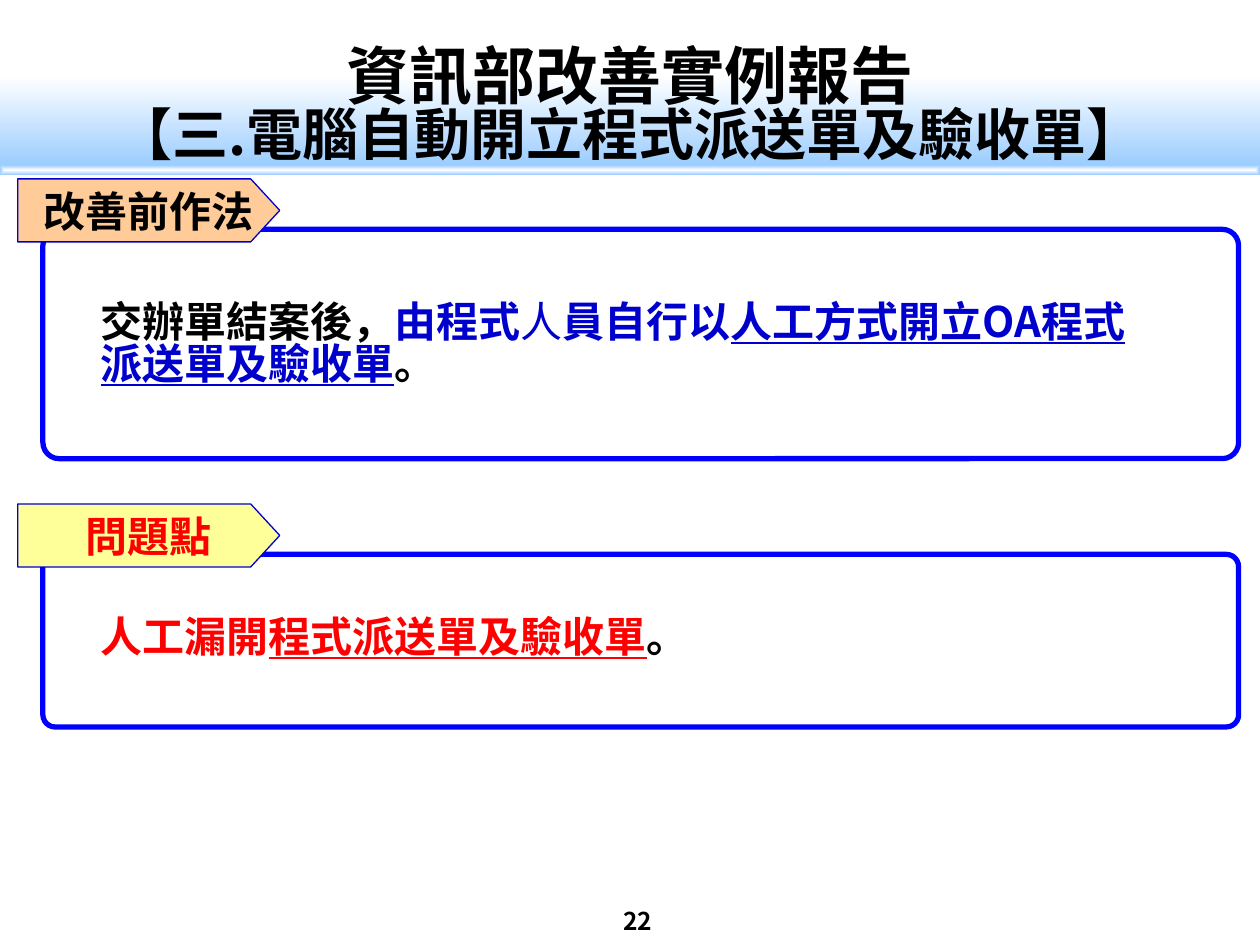
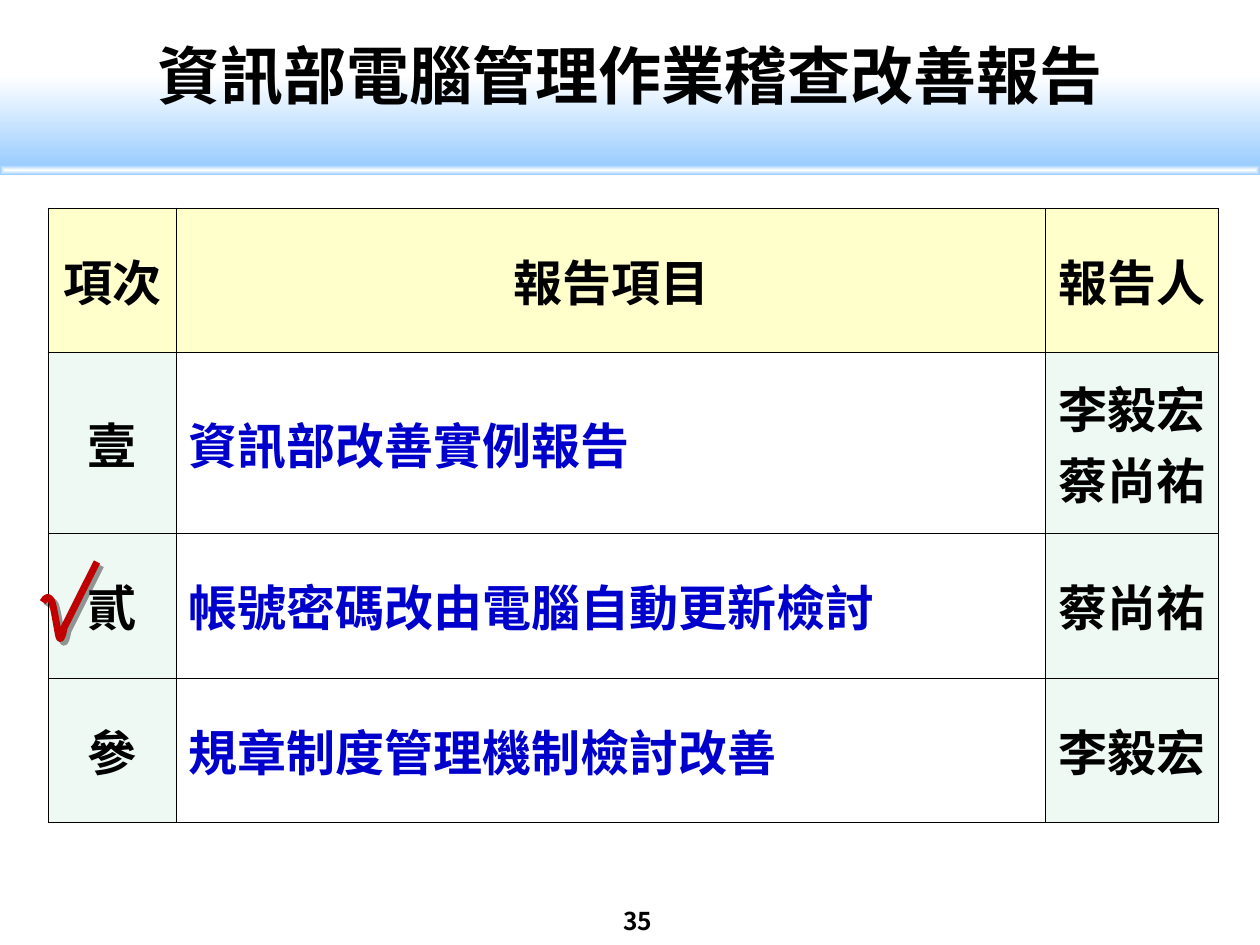
from lxml import etree
from pptx import Presentation
from pptx import util as u
from pptx.dml.color import RGBColor
from pptx.enum import shapes, text
from pptx.oxml import ns

PX = 9144  # EMU in one px, 100 px to the inch
FONT = "Noto Sans CJK SC"
BLACK = RGBColor(0x00, 0x00, 0x00)
WHITE = RGBColor(0xFF, 0xFF, 0xFF)
SKY = RGBColor(0x99, 0xCC, 0xFF)
BLUE = RGBColor(0x00, 0x00, 0xFF)
NAVY = RGBColor(0x00, 0x00, 0xCC)
RED = RGBColor(0xFF, 0x00, 0x00)
CHECK_RED = RGBColor(0xC0, 0x00, 0x00)
PEACH = RGBColor(0xFF, 0xCC, 0x99)
YELLOW = RGBColor(0xFF, 0xFF, 0x99)
CREAM = RGBColor(0xFF, 0xFF, 0xCC)
MINT = RGBColor(0xEE, 0xF9, 0xF4)

TOP, MIDDLE = text.MSO_ANCHOR.TOP, text.MSO_ANCHOR.MIDDLE
LEFT, CENTER = text.PP_ALIGN.LEFT, text.PP_ALIGN.CENTER


def px(*lengths):
    return [u.Emu(round(length * PX)) for length in lengths]


def child(parent, tag, **attributes):
    element = etree.SubElement(parent, ns.qn(tag))
    for name, value in attributes.items():
        element.set(name, str(value))
    return element


def write(paragraph, words, size=24, color=BLACK, bold=True, underline=False):
    """Add one formatted run, with the font set for Latin and Asian text."""
    run = paragraph.add_run()
    run.text = words
    font = run.font
    font.name, font.size = FONT, u.Pt(size)
    font.bold, font.underline = bold, underline
    font.color.rgb = color
    child(font._element, "a:ea", typeface=FONT)


def bezier(start, control1, control2, end, steps=8):
    """Points along a cubic curve, without its start."""
    for step in range(1, steps + 1):
        t = step / steps
        weights = (1 - t) ** 3, 3 * t * (1 - t) ** 2, 3 * t * t * (1 - t), t ** 3
        yield tuple(sum(w * p for w, p in zip(weights, axis))
                    for axis in zip(start, control1, control2, end))


class Deck:
    """Holds the shared style and the slide being filled."""

    def __init__(self):
        self.prs = Presentation()
        self.prs.slide_width, self.prs.slide_height = px(1000, 750)
        self.slide = None

    def new_slide(self, title, number, subtitle=None):
        self.slide = self.prs.slides.add_slide(self.prs.slide_layouts[6])
        self.band(60, 73)
        self.band(131, 8, from_center=True)
        self.text((459, 714, 94, 24), [(number, {"size": 14})],
                  align=CENTER, insets=(10, 5, 10, 5))
        self.text((0, 29, 1000, 60), [(title, {"size": 36})],
                  align=CENTER, anchor=MIDDLE)
        if subtitle:
            self.text((0, 79, 1000, 53), [(subtitle, {"size": 32})],
                      align=CENTER, anchor=MIDDLE)

    def shape(self, kind, box, fill=None, line=None, width=1, adjust=None):
        shape = self.slide.shapes.add_shape(kind, *px(*box))
        if adjust is not None:
            shape.adjustments[0] = adjust
        self.paint(shape, fill, line, width)
        return shape

    def paint(self, shape, fill, line, width):
        shape.shadow.inherit = False
        for part, color in ((shape.fill, fill), (shape.line.fill, line)):
            if color is None:
                part.background()
            else:
                part.solid()
                part.fore_color.rgb = color
        if line is not None:
            shape.line.width = u.Pt(width)

    def band(self, top, height, from_center=False):
        """Full-width strip from white to sky blue."""
        strip = self.shape(shapes.MSO_SHAPE.RECTANGLE, (0, top, 1000, height))
        strip.fill.gradient()
        for stop, color in zip(strip.fill.gradient_stops, (WHITE, SKY)):
            stop.color.rgb = color
        strip.fill.gradient_angle = 270
        if from_center:
            linear = strip._element.spPr.find(".//" + ns.qn("a:lin"))
            gradient = linear.getparent()
            gradient.remove(linear)
            spread = child(gradient, "a:path")
            spread.set("path", "rect")
            child(spread, "a:fillToRect", l=50000, t=50000, r=50000, b=50000)

    def fill_frame(self, frame, runs, align, anchor, insets, spacing=None):
        frame.word_wrap = True
        frame.vertical_anchor = anchor
        (frame.margin_left, frame.margin_top,
         frame.margin_right, frame.margin_bottom) = px(*insets)
        paragraph = frame.paragraphs[0]
        paragraph.alignment = align
        if spacing:
            paragraph.line_spacing = u.Pt(spacing)
        for words, style in runs:
            write(paragraph, words, **style)

    def text(self, box, runs, align=LEFT, anchor=TOP, insets=(0, 0, 0, 0), spacing=None):
        frame = self.slide.shapes.add_textbox(*px(*box)).text_frame
        self.fill_frame(frame, runs, align, anchor, insets, spacing)

    def section(self, top, height, label, fill, color, body_box, body):
        """Rounded frame with a pointed label on its top left corner."""
        self.shape(shapes.MSO_SHAPE.ROUNDED_RECTANGLE, (34, top, 949, height),
                   line=BLUE, width=3, adjust=0.071)
        tag = self.shape(shapes.MSO_SHAPE.PENTAGON, (14, top - 40, 208, 50),
                         fill, NAVY, 0.75, adjust=0.46)
        self.fill_frame(tag.text_frame, [(label, {"color": color})],
                        CENTER, MIDDLE, (11, 5, 0, 5))
        self.text(body_box, body, insets=(10, 5, 10, 5), spacing=24)

    def table(self, box, widths, heights, rows):
        grid = self.slide.shapes.add_table(len(rows), len(widths), *px(*box)).table
        for column, width in zip(grid.columns, px(*widths)):
            column.width = width
        for row, height in zip(grid.rows, px(*heights)):
            row.height = height
        for r, row in enumerate(rows):
            for c, words in enumerate(row):
                is_topic = r > 0 and c == 1
                fill = CREAM if r == 0 else WHITE if is_topic else MINT
                self.cell(grid.cell(r, c), words, fill,
                          NAVY if is_topic else BLACK, LEFT if is_topic else CENTER)

    def cell(self, cell, words, fill, color, align):
        cell.vertical_anchor = MIDDLE
        frame = cell.text_frame
        for index, line in enumerate(words.split("\n")):
            paragraph = frame.add_paragraph() if index else frame.paragraphs[0]
            paragraph.alignment = align
            write(paragraph, line, size=28, color=color)
        properties = cell._tc.get_or_add_tcPr()
        for side in "LRTB":
            border = child(properties, "a:ln" + side, w=u.Pt(0.45))
            child(child(border, "a:solidFill"), "a:srgbClr", val=BLACK)
        cell.fill.solid()
        cell.fill.fore_color.rgb = fill

    def check_mark(self):
        start, shoulder, foot = (34, 478), (41, 477), (47, 506)
        points = [*bezier(start, (36, 475), (38, 472), shoulder),
                  *bezier(shoulder, (43, 482), (46, 503), foot),
                  *bezier(foot, (49, 510), (51, 498), (51, 498)),
                  (77, 446)]
        builder = self.slide.shapes.build_freeform(*px(*start))
        builder.add_line_segments([px(*point) for point in points], close=False)
        mark = builder.convert_to_shape()
        self.paint(mark, None, CHECK_RED, 4)
        effects = mark._element.spPr.find(ns.qn("a:effectLst"))
        shadow = child(effects, "a:outerShdw", blurRad=0, dist=u.Pt(3),
                       dir=45 * 60000, algn="tl", rotWithShape=0)
        child(child(shadow, "a:srgbClr", val=BLACK), "a:alpha", val=40000)


def main():
    deck = Deck()

    deck.new_slide("資訊部改善實例報告", "22", "【三.電腦自動開立程式派送單及驗收單】")
    deck.section(440, 137, "問題點", YELLOW, RED, (70, 486, 533, 44), [
        ("人工漏開", {"color": RED}),
        ("程式派送單及驗收單", {"color": RED, "underline": True}),
        ("。", {}),
    ])
    deck.section(182, 182, "改善前作法", PEACH, BLACK, (70, 236, 855, 77), [
        ("交辦單結案後，", {}),
        ("由程式", {"color": NAVY}),
        ("人", {"color": NAVY, "bold": False}),
        ("員自行以", {"color": NAVY}),
        ("人工方式開立OA程式派送單及驗收單", {"color": NAVY, "underline": True}),
        ("。", {}),
    ])

    deck.new_slide("資訊部電腦管理作業稽查改善報告", "35")
    deck.table((38, 165, 929, 488), (102, 690, 137), (115, 143, 115, 115), [
        ("項次", "報告項目", "報告人"),
        ("壹", "資訊部改善實例報告", "李毅宏\n蔡尚祐"),
        ("貳", "帳號密碼改由電腦自動更新檢討", "蔡尚祐"),
        ("參", "規章制度管理機制檢討改善", "李毅宏"),
    ])
    deck.check_mark()

    deck.prs.save("out.pptx")


if __name__ == "__main__":
    main()
